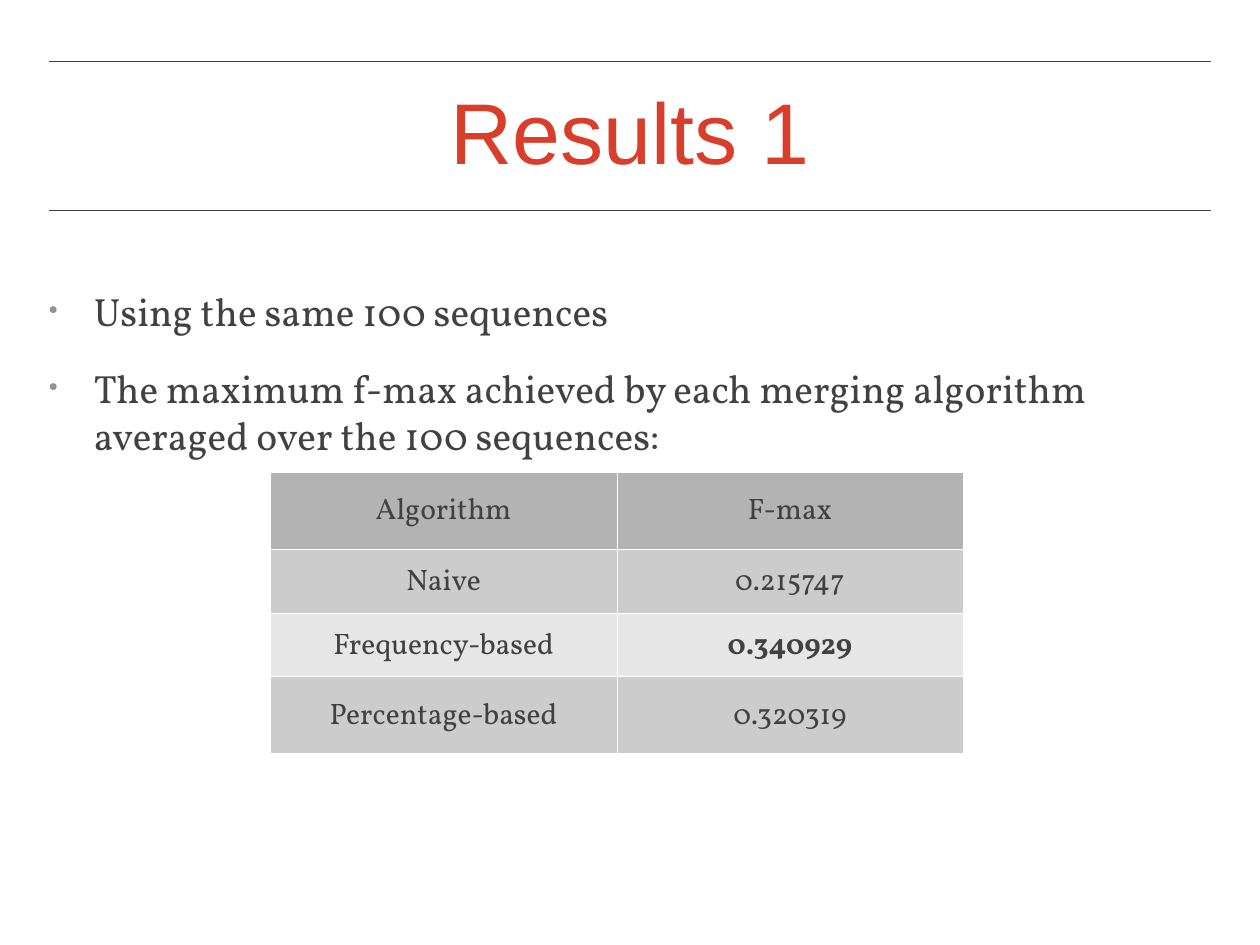
import pptx
import pptx.util
import pptx.dml.color
import pptx.enum.shapes
import pptx.enum.text
import pptx.oxml.ns
import lxml.etree
from dataclasses import dataclass

Inches = pptx.util.Inches
Pt = pptx.util.Pt
Anchor = pptx.enum.text.MSO_ANCHOR
Align = pptx.enum.text.PP_ALIGN


@dataclass(frozen=True)
class Theme:
    head: str = "Arial"
    body: str = "Vollkorn"
    red: str = "D93E2B"
    ink: str = "414141"
    rule: str = "444444"
    dot: str = "929292"
    edge: str = "FFFFFF"
    fills: tuple = ("B3B3B3", "CCCCCC", "E6E6E6", "CCCCCC")
    title: int = 70
    text: int = 32
    cell: int = 24


THEME = Theme()


def color(value):
    return pptx.dml.color.RGBColor.from_string(value)


def add(parent, tag, **attrs):
    """Append a drawing element with the given attributes."""
    node = lxml.etree.SubElement(parent, pptx.oxml.ns.qn(tag))
    for key, value in attrs.items():
        node.set(key, str(value))
    return node


def write(para, text, size=THEME.text, font=THEME.body, ink=THEME.ink,
          bold=False, align=Align.LEFT, lines=1.0, before=0):
    para.alignment = align
    para.line_spacing = lines
    para.space_before = Pt(before)
    run = para.add_run()
    run.text = text
    run.font.size = Pt(size)
    run.font.name = font
    run.font.bold = bold
    run.font.color.rgb = color(ink)


def frame(slide, box, anchor):
    """Add a wrapped text box without margins."""
    area = slide.shapes.add_textbox(*map(Inches, box)).text_frame
    area.word_wrap = True
    area.vertical_anchor = anchor
    area.margin_left = area.margin_right = 0
    area.margin_top = area.margin_bottom = 0
    return area


def bullet(para, indent):
    props = para._p.get_or_add_pPr()
    props.set("marL", str(Inches(indent)))
    props.set("indent", str(-Inches(indent)))
    add(add(props, "a:buClr"), "a:srgbClr", val=THEME.dot)
    add(props, "a:buSzPct", val=30000)
    add(props, "a:buChar", char="●")


def header(slide, box, title):
    left, top, width, height = box
    # Rules above and below the title
    for y in (top, top + height):
        line = slide.shapes.add_connector(
            pptx.enum.shapes.MSO_CONNECTOR.STRAIGHT,
            Inches(left), Inches(y), Inches(left + width), Inches(y))
        line.line.color.rgb = color(THEME.rule)
        line.line.width = Pt(0.75)
        add(line._element.spPr, "a:effectLst")
    # Title
    area = frame(slide, (left, top + 0.19, width, 1.33), Anchor.MIDDLE)
    write(area.paragraphs[0], title, size=THEME.title, font=THEME.head,
          ink=THEME.red, align=Align.CENTER, lines=0.9, before=16)


def points(slide, box, items):
    area = frame(slide, box, Anchor.TOP)
    for i, item in enumerate(items):
        para = area.add_paragraph() if i else area.paragraphs[0]
        write(para, item, before=24)
        bullet(para, 0.51)


def border(cell):
    """Outline a cell; edges precede the fill in the cell properties."""
    props = cell._tc.get_or_add_tcPr()
    for i, side in enumerate(("a:lnL", "a:lnR", "a:lnT", "a:lnB")):
        edge = add(props, side, w=Pt(0.06))
        add(add(edge, "a:solidFill"), "a:srgbClr", val=THEME.edge)
        props.insert(i, edge)


def scores(slide, box, rows, heights, best):
    cols = len(rows[0])
    table = slide.shapes.add_table(len(rows), cols, *map(Inches, box)).table
    for col in table.columns:
        col.width = Inches(box[2] / cols)
    for r, (row, height) in enumerate(zip(rows, heights)):
        table.rows[r].height = Inches(height)
        for c, text in enumerate(row):
            cell = table.cell(r, c)
            cell.fill.solid()
            cell.fill.fore_color.rgb = color(THEME.fills[r])
            cell.vertical_anchor = Anchor.MIDDLE
            border(cell)
            write(cell.text_frame.paragraphs[0], text, size=THEME.cell,
                  bold=text == best, align=Align.CENTER, lines=1.08)


def main():
    deck = pptx.Presentation()
    deck.slide_width = Inches(14.22)
    deck.slide_height = Inches(10.66)
    slide = deck.slides.add_slide(deck.slide_layouts[6])

    header(slide, (0.55, 0.69, 13.12, 1.68), "Results 1")
    points(slide, (0.55, 3.24, 13.12, 2.0), (
        "Using the same 100 sequences",
        "The maximum f-max achieved by each merging algorithm "
        "averaged over the 100 sequences:",
    ))
    scores(slide, (3.05, 5.33, 7.82, 3.17), (
        ("Algorithm", "F-max"),
        ("Naive", "0.215747"),
        ("Frequency-based", "0.340929"),
        ("Percentage-based", "0.320319"),
    ), heights=(0.86, 0.73, 0.71, 0.87), best="0.340929")
    deck.save("out.pptx")


if __name__ == "__main__":
    main()
